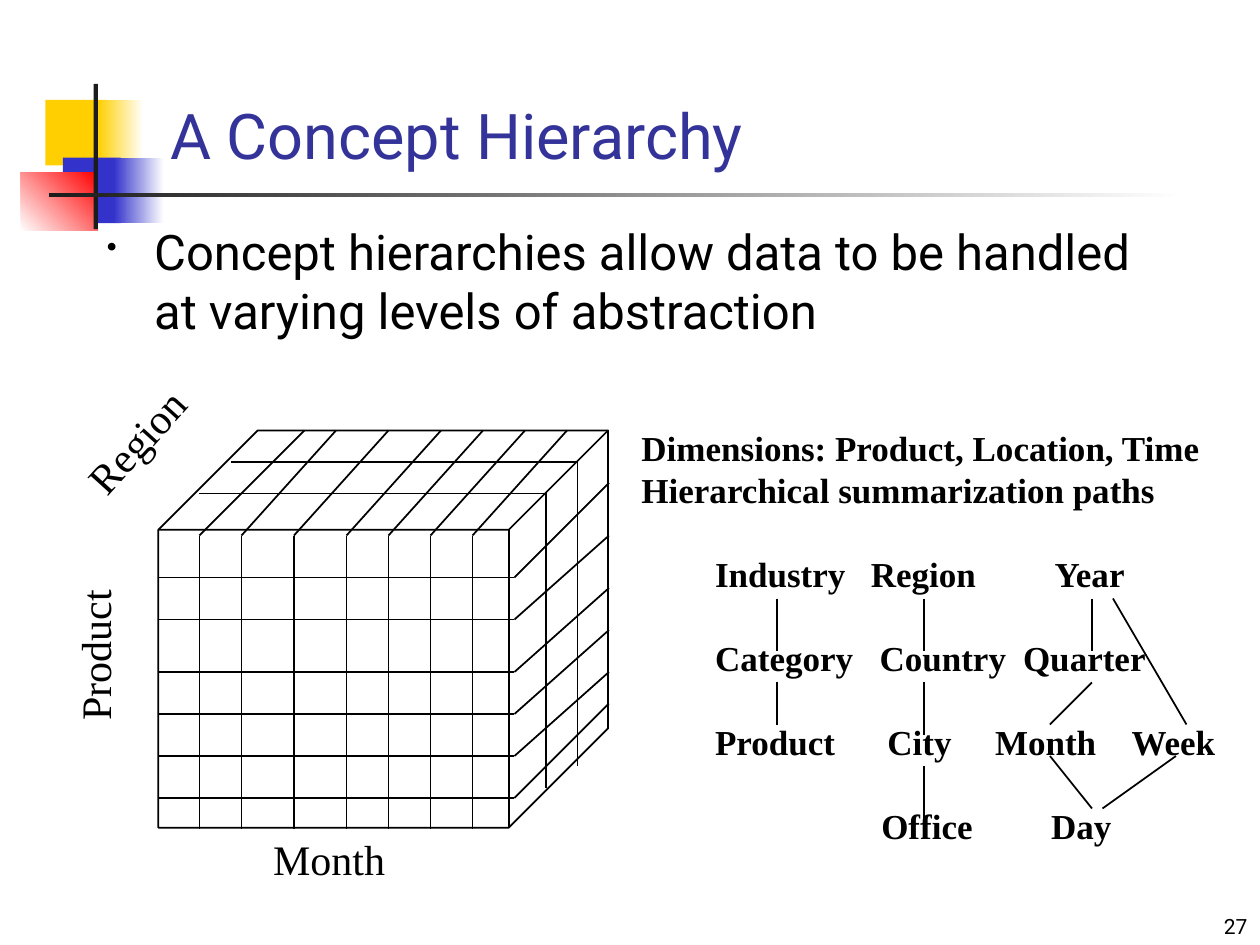
from lxml.etree import SubElement
from pptx import Presentation
from pptx.dml.color import RGBColor
from pptx.enum.shapes import MSO_CONNECTOR, MSO_SHAPE
from pptx.enum.text import MSO_ANCHOR, MSO_AUTO_SIZE, PP_ALIGN
from pptx.oxml.ns import qn
from pptx.util import Pt

BLACK = RGBColor(0x00, 0x00, 0x00)
WHITE = RGBColor(0xFF, 0xFF, 0xFF)
YELLOW = RGBColor(0xFF, 0xCF, 0x01)
BLUE = RGBColor(0x33, 0x33, 0xCC)
RED = RGBColor(0xFF, 0x00, 0x00)
CHARCOAL = RGBColor(0x1C, 0x1C, 0x1C)
INDIGO = RGBColor(0x33, 0x33, 0x99)
SANS, SERIF = "Roboto", "Times New Roman"

# Left, top, width, height, colours (two make a gradient), angle
ORNAMENT = [
    (26, 57, 34.5, 37.5, (YELLOW,), 0),
    (56, 57, 26, 37.5, (YELLOW, WHITE), 0),
    (36, 90, 33, 37.5, (BLUE,), 0),
    (65, 90, 28.5, 37.5, (BLUE, WHITE), 0),
    (12, 98.5, 44, 33.5, (WHITE, RED), 45),
    (53.5, 48, 2.4, 83, (CHARCOAL,), 0),
    (28, 110.2, 648, 2.4, (CHARCOAL, WHITE), 0),
]

# Cube grid: front lines with the shift they take along the depth
FRONT_LEFT, FRONT_RIGHT, FRONT_TOP, FRONT_BOTTOM = 90, 294, 306, 474
BACK_TOP, BACK_RIGHT = 246, 348
PRODUCT_ROWS = {330: 54, 354: 48, 384: 48, 408: 48, 432: 48, 456: 54}
MONTH_COLUMNS = {114: 60, 138: 54, 168: 54, 198: 54, 222: 54, 246: 54, 270: 54}
# Left, right, top, bottom of each slice along the region axis
REGION_SLICES = [(132, 330, 264, 438), (114, 312, 282, 450)]

# Each level of the hierarchy with its tab stops
LEVELS = [
    ("Industry\tRegion\tYear", (89, 194)),
    ("Category\tCountry\tQuarter", (94, 176)),
    ("Product\tCity\tMonth\tWeek", (98.5, 160, 238)),
    ("\tOffice\tDay", (95, 192)),
]
LEVEL_LINKS = [
    (444, 342, 444, 372), (444, 390, 444, 414),
    (528, 342, 528, 372), (528, 390, 528, 420), (528, 438, 528, 468),
    (624, 342, 624, 372), (624, 390, 600, 414), (636, 342, 678, 414),
    (600, 432, 624, 462), (672, 432, 630, 462),
]


def add_block(slide, left, top, width, height, colours, angle):
    block = slide.shapes.add_shape(
        MSO_SHAPE.RECTANGLE, Pt(left), Pt(top), Pt(width), Pt(height))
    block.shadow.inherit = False
    block.line.fill.background()
    if len(colours) == 1:
        block.fill.solid()
        block.fill.fore_color.rgb = colours[0]
        return
    block.fill.gradient()
    block.fill.gradient_angle = angle
    for stop, colour in zip(block.fill.gradient_stops, colours):
        stop.color.rgb = colour


def add_line(slide, x1, y1, x2, y2):
    line = slide.shapes.add_connector(
        MSO_CONNECTOR.STRAIGHT, Pt(x1), Pt(y1), Pt(x2), Pt(y2))
    line.line.color.rgb = BLACK
    line.line.width = Pt(1)
    SubElement(line._element.spPr, qn("a:effectLst"))


def style(paragraph, size, name, colour=BLACK, bold=False):
    font = paragraph.font
    font.size, font.name, font.bold = Pt(size), name, bold
    font.color.rgb = colour


def add_text(slide, box, lines, size, name=SERIF, bold=False, wrap=False, rotation=0):
    label = slide.shapes.add_textbox(*map(Pt, box))
    label.rotation = rotation
    frame = label.text_frame
    frame.word_wrap = wrap
    frame.text = "\n".join(lines)
    for paragraph in frame.paragraphs:
        style(paragraph, size, name, bold=bold)
    return frame


def add_bullet(paragraph, indent):
    properties = paragraph._p.get_or_add_pPr()
    properties.set("marL", str(Pt(indent)))
    properties.set("indent", str(-Pt(indent)))
    SubElement(properties, qn("a:buSzPct"), val="60000")
    SubElement(properties, qn("a:buChar"), char="•")


def set_tabs(paragraph, stops):
    tabs = SubElement(paragraph._p.get_or_add_pPr(), qn("a:tabLst"))
    for stop in stops:
        SubElement(tabs, qn("a:tab"), pos=str(Pt(stop)), algn="l")


def set_title(slide, text):
    title = slide.shapes.title
    title.left, title.top, title.width, title.height = map(Pt, (90, 54, 613.5, 48))
    frame = title.text_frame
    frame.text = text
    frame.auto_size = MSO_AUTO_SIZE.NONE
    frame.vertical_anchor = MSO_ANCHOR.BOTTOM
    frame.paragraphs[0].alignment = PP_ALIGN.LEFT
    style(frame.paragraphs[0], 36, SANS, INDIGO)


def add_cube(slide):
    cube = slide.shapes.add_shape(MSO_SHAPE.CUBE, Pt(90.5), Pt(246), Pt(257), Pt(227))
    cube.shadow.inherit = False
    cube.fill.background()
    cube.line.color.rgb = BLACK
    cube.line.width = Pt(1)
    for y, rise in PRODUCT_ROWS.items():
        add_line(slide, FRONT_LEFT, y, FRONT_RIGHT, y)
        add_line(slide, FRONT_RIGHT, y, BACK_RIGHT, y - rise)
    for x, shift in MONTH_COLUMNS.items():
        add_line(slide, x, FRONT_TOP, x, FRONT_BOTTOM)
        add_line(slide, x, FRONT_TOP, x + shift, BACK_TOP)
    for left, right, top, bottom in REGION_SLICES:
        add_line(slide, left, top, right, top)
        add_line(slide, right, top, right, bottom)
    # Axis names
    add_text(slide, (9.5, 356.5, 89, 36), ["Product"], 24, rotation=270)
    add_text(slide, (36, 234, 83.5, 36), ["Region"], 24, rotation=312)
    add_text(slide, (149, 473, 78.5, 36), ["Month"], 24)


def add_hierarchy(slide):
    heading = add_text(
        slide, (359.5, 240, 335, 55.5),
        ["Dimensions: Product, Location, Time", "Hierarchical summarization paths"],
        20, bold=True)
    levels = add_text(slide, (401.5, 312, 312, 175.5), [text for text, _ in LEVELS],
                      20, bold=True, wrap=True)
    for paragraph in heading.paragraphs + levels.paragraphs:
        paragraph.line_spacing = Pt(24)
    for paragraph in levels.paragraphs[1:]:
        paragraph.space_before = Pt(24)
    for paragraph, (_, stops) in zip(levels.paragraphs, LEVELS):
        set_tabs(paragraph, stops)
    for link in LEVEL_LINKS:
        add_line(slide, *link)


def main():
    deck = Presentation()
    deck.slide_width, deck.slide_height = Pt(720), Pt(540)
    slide = deck.slides.add_slide(deck.slide_layouts[5])

    # Ornament, page number and title
    for block in ORNAMENT:
        add_block(slide, *block)
    number = add_text(slide, (570, 504, 150, 36), ["27"], 12, SANS, wrap=True)
    number.vertical_anchor = MSO_ANCHOR.BOTTOM
    number.paragraphs[0].alignment = PP_ALIGN.RIGHT
    set_title(slide, "A Concept Hierarchy")

    # Statement
    statement = add_text(
        slide, (54, 123, 630, 360),
        ["Concept hierarchies allow data to be handled at varying levels of abstraction"],
        28, SANS, wrap=True)
    add_bullet(statement.paragraphs[0], 27)

    # Data cube and its dimensions
    add_cube(slide)
    add_hierarchy(slide)
    deck.save("out.pptx")


if __name__ == "__main__":
    main()
